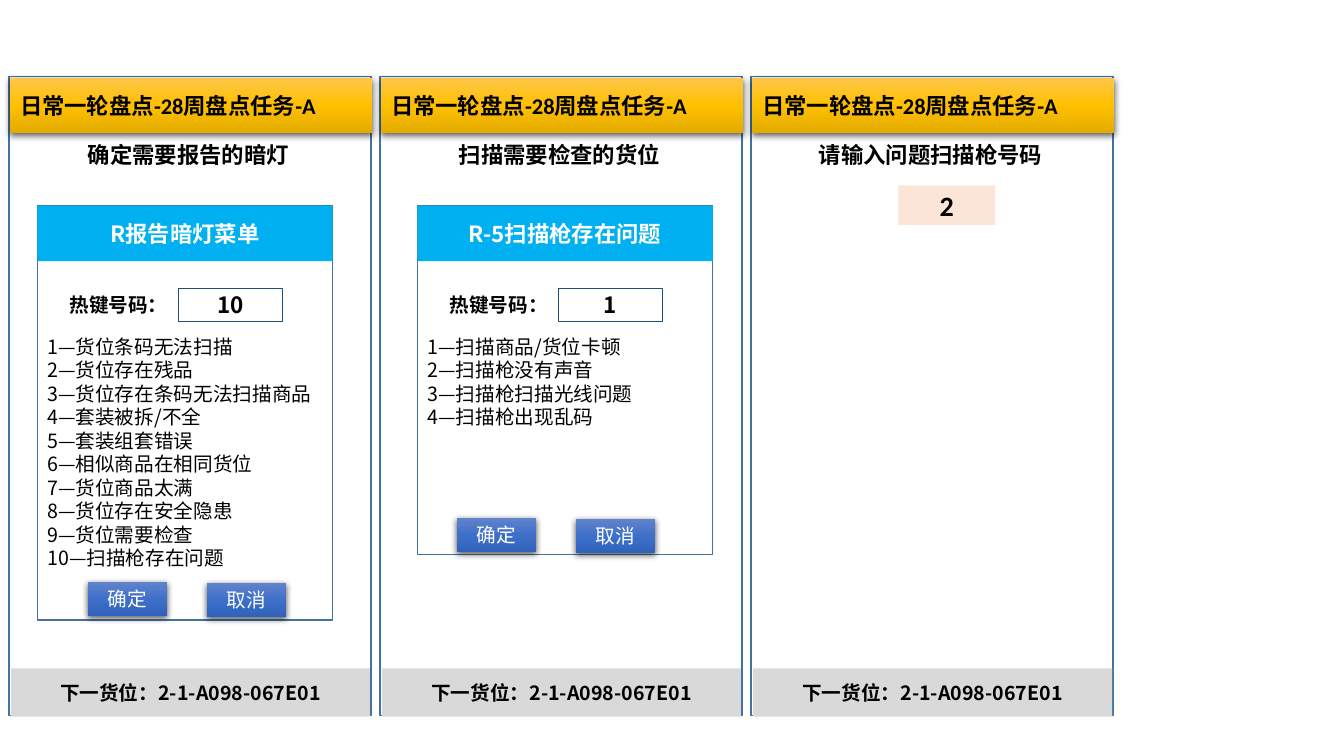
from pptx import Presentation
from pptx.dml.color import RGBColor
from pptx.enum.shapes import MSO_SHAPE
from pptx.enum.text import MSO_ANCHOR, MSO_AUTO_SIZE, PP_ALIGN
from pptx.oxml import parse_xml
from pptx.oxml.ns import nsdecls, qn
from pptx.util import Inches, Pt

RECT = MSO_SHAPE.RECTANGLE
LEFT, CENTER = PP_ALIGN.LEFT, PP_ALIGN.CENTER
TOP, MIDDLE = MSO_ANCHOR.TOP, MSO_ANCHOR.MIDDLE
GROW = MSO_AUTO_SIZE.SHAPE_TO_FIT_TEXT

CJK_FONT = "Noto Sans CJK SC"
LATIN_FONT = "Calibri"
LINE_RATIO = 1.2
BORDER = "43739E"
GOLD = ("FFC64B", "FFC000", "E3AB00")
BLUE = ("6183CB", "3E70CA", "3062BB")

PANEL_LEFT, PANEL_TOP, PANEL_PITCH = 0.09, 0.76, 3.68
HEADER = "日常一轮盘点-28周盘点任务-A"
FOOTER = "下一货位：2-1-A098-067E01"
PROMPTS = ["确定需要报告的暗灯", "扫描需要检查的货位", "请输入问题扫描枪号码"]

DARK_LAMP_MENU = [
    "1—货位条码无法扫描",
    "2—货位存在残品",
    "3—货位存在条码无法扫描商品",
    "4—套装被拆/不全",
    "5—套装组套错误",
    "6—相似商品在相同货位",
    "7—货位商品太满",
    "8—货位存在安全隐患",
    "9—货位需要检查",
    "10—扫描枪存在问题",
]
SCANNER_MENU = [
    "1—扫描商品/货位卡顿",
    "2—扫描枪没有声音",
    "3—扫描枪扫描光线问题",
    "4—扫描枪出现乱码",
]


def rgb(color):
    return RGBColor.from_string(color)


def write(shape, lines, size, color="000000", bold=True, align=CENTER,
          anchor=MIDDLE, font=CJK_FONT):
    frame = shape.text_frame
    frame.word_wrap = True
    frame.vertical_anchor = anchor
    frame.text = "\n".join(lines)
    font_format = {"size": Pt(size), "bold": bold, "name": font}
    for paragraph in frame.paragraphs:
        paragraph.alignment = align
        paragraph.line_spacing = Pt(size * LINE_RATIO)
        for run in paragraph.runs:
            for attribute, value in font_format.items():
                setattr(run.font, attribute, value)
            run.font.color.rgb = rgb(color)
            east_asian = parse_xml(f'<a:ea {nsdecls("a")} typeface="{CJK_FONT}"/>')
            run.font._element.find(qn("a:latin")).addnext(east_asian)


def add_box(shapes, left, top, width, height, fill=None, line=None):
    box = shapes.add_shape(RECT, Inches(left), Inches(top), Inches(width), Inches(height))
    box.shadow.inherit = False
    if fill:
        box.fill.solid()
        box.fill.fore_color.rgb = rgb(fill)
    else:
        box.fill.background()
    if line:
        box.line.color.rgb = rgb(line)
        box.line.width = Pt(1)
    else:
        box.line.fill.background()
    return box


def add_raised_box(shapes, left, top, width, height, colors):
    """Add a box with a vertical three-colour gradient and a soft shadow."""
    box = add_box(shapes, left, top, width, height)
    properties = box._element.spPr
    stops = "".join(
        f'<a:gs pos="{index * 50000}"><a:srgbClr val="{color}"/></a:gs>'
        for index, color in enumerate(colors))
    gradient = parse_xml(
        f'<a:gradFill {nsdecls("a")} rotWithShape="1"><a:gsLst>{stops}</a:gsLst>'
        '<a:lin ang="5400000" scaled="0"/></a:gradFill>')
    properties.replace(properties.find(qn("a:noFill")), gradient)
    properties.find(qn("a:effectLst")).append(parse_xml(
        f'<a:outerShdw {nsdecls("a")} blurRad="{Pt(4.5)}" dist="{Pt(1.5)}" '
        'dir="5400000" algn="ctr" rotWithShape="0"><a:srgbClr val="000000">'
        '<a:alpha val="63000"/></a:srgbClr></a:outerShdw>'))
    return box


def add_label(shapes, left, top, width, height, lines, size, **style):
    label = shapes.add_textbox(Inches(left), Inches(top), Inches(width), Inches(height))
    write(label, lines, size, anchor=TOP, **style)
    label.text_frame.auto_size = GROW


def add_panel(shapes, left, prompt):
    add_box(shapes, left, PANEL_TOP, 3.59, 6.34, "FFFFFF", BORDER)
    add_label(shapes, left, 1.35, 3.56, 0.37, [prompt], 16)
    footer = add_box(shapes, left + 0.02, 6.63, 3.56, 0.48, "D9D9D9")
    write(footer, [FOOTER], 14)
    header = add_raised_box(shapes, left + 0.01, PANEL_TOP + 0.01, 3.59, 0.55, GOLD)
    write(header, [HEADER], 16, align=LEFT, font=LATIN_FONT)


def add_button(shapes, left, top, caption):
    button = add_raised_box(shapes, left, top, 0.79, 0.34, BLUE)
    write(button, [caption], 14, "FFFFFF", bold=False, anchor=TOP)
    button.text_frame.auto_size = GROW


def add_dialog(slide, left, height, title, hotkey, menu, button_left, button_top):
    shapes = slide.shapes.add_group_shape().shapes
    add_box(shapes, left, 2.04, 2.93, height, "FFFFFF", BORDER)
    title_bar = add_box(shapes, left, 2.04, 2.93, 0.55, "00B0F0")
    write(title_bar, [title], 16, "FFFFFF")
    add_label(shapes, left + 0.22, 2.86, 1.73, 0.34, ["热键号码："], 14, align=LEFT)
    add_label(shapes, left, 3.27, 3.01, 0.1 + len(menu) * 14 * LINE_RATIO / 72,
              menu, 14, bold=False, align=LEFT)
    add_button(shapes, button_left, button_top, "确定")
    add_button(shapes, button_left + 1.18, button_top + 0.01, "取消")
    hotkey_field = add_box(shapes, left + 1.4, 2.86, 1.03, 0.33, line="1F4E79")
    write(hotkey_field, [hotkey], 16)


def main():
    presentation = Presentation()
    presentation.slide_width = Inches(13.33)
    presentation.slide_height = Inches(7.5)
    slide = presentation.slides.add_slide(presentation.slide_layouts[6])

    for index, prompt in enumerate(PROMPTS):
        add_panel(slide.shapes, PANEL_LEFT + index * PANEL_PITCH, prompt)
    add_dialog(slide, 0.37, 4.11, "R报告暗灯菜单", "10", DARK_LAMP_MENU, 0.87, 5.77)
    add_dialog(slide, 4.14, 3.46, "R-5扫描枪存在问题", "1", SCANNER_MENU, 4.53, 5.14)
    scanner_number = add_box(slide.shapes, 8.91, 1.84, 0.96, 0.39, "FBE5D6")
    write(scanner_number, ["2"], 20, font=LATIN_FONT)

    presentation.save("out.pptx")


if __name__ == "__main__":
    main()
